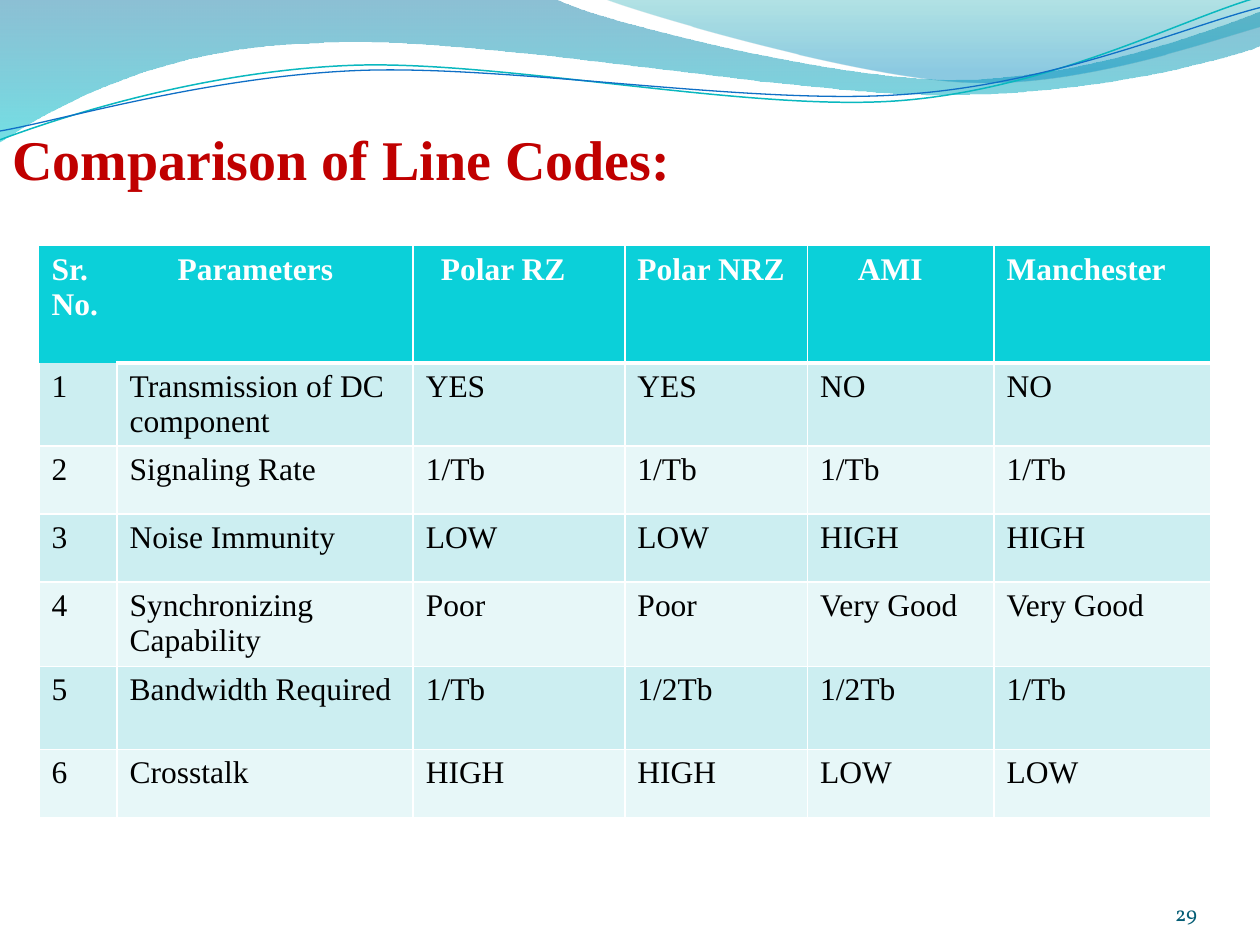
import math

import pptx
import pptx.dml.color
import pptx.enum.text
import pptx.oxml
import pptx.oxml.ns
import pptx.util
from pptx.util import Inches

# Content
TITLE = "Comparison of Line Codes:"
PAGE_NUMBER = "29"
ROWS = [
    ("Sr. No.", "Parameters", "Polar RZ", "Polar NRZ", "AMI", "Manchester"),
    ("1", "Transmission of DC component", "YES", "YES", "NO", "NO"),
    ("2", "Signaling Rate", "1/Tb", "1/Tb", "1/Tb", "1/Tb"),
    ("3", "Noise Immunity", "LOW", "LOW", "HIGH", "HIGH"),
    ("4", "Synchronizing Capability", "Poor", "Poor", "Very Good", "Very Good"),
    ("5", "Bandwidth Required", "1/Tb", "1/2Tb", "1/2Tb", "1/Tb"),
    ("6", "Crosstalk", "HIGH", "HIGH", "LOW", "LOW"),
]
COLUMN_WIDTHS = [0.62, 2.35, 1.68, 1.45, 1.48, 1.72]
ROW_HEIGHTS = [0.93, 0.66, 0.54, 0.54, 0.67, 0.66, 0.54]
HEADER_INDENTS = [0, 0.38, 0.12, 0, 0.3, 0]
# Borders around the first header cell stay unpainted
OPEN_BORDERS = {(0, 0): "LRTB", (0, 1): "L", (1, 0): "T"}
COLORS = {
    "title": "C00000", "number": "045D75", "header": "0BD0D9",
    "odd": "CCEEF1", "even": "E7F7F8", "white": "FFFFFF", "black": "000000",
}
SERIF = "Times New Roman"

# Wave outlines: two values are a line's end, six values are a Bézier curve
BANDS = [
    {"box": (-0.01, -0.01, 10.02, 1.14),
     "outline": [(0, 0), (4.4, -0.01), (4.76, 0.17, 6.64, 0.63, 7.58, 0.63),
                 (8.53, 0.63, 9.58, 0.26, 10, 0.09), (10.01, 0.36),
                 (9.83, 0.44, 8.7, 0.76, 7.46, 0.75),
                 (6.22, 0.75, 3.82, 0.28, 2.57, 0.34),
                 (1.29, 0.36, 0.46, 0.83, -0.01, 1.13), (0, 0)],
     "stops": [(0, "0074A1", 45), (1, "00C6CF", 55)]},
    {"box": (4.79, -0.01, 5.21, 0.7),
     "outline": [(4.79, -0.01), (5.09, 0.11, 6.82, 0.62, 7.69, 0.65),
                 (8.56, 0.69, 9.61, 0.32, 10, 0.21), (10, 0), (4.79, -0.01)],
     "stops": [(0, "00A1A9", 30), (0.8, "008BBF", 45)]},
]
STRAND_ROTATION = -2.7
STRANDS = [
    {"box": (-0.02, 0.22, 10.02, 0.71),
     "outline": [(0, 1.11), (0.48, 0.93, 1.58, 0.57, 2.77, 0.52),
                 (3.95, 0.47, 5.93, 0.89, 7.13, 0.8),
                 (8.33, 0.71, 9.38, 0.15, 9.98, -0.02)],
     "color": "0AB8BF", "width": 0.85},
    {"box": (-0.02, 0.3, 10.03, 0.58),
     "outline": [(0, 1.04), (0.47, 0.96, 1.64, 0.61, 2.83, 0.56),
                 (4.03, 0.51, 5.97, 0.84, 7.17, 0.75),
                 (8.36, 0.67, 9.41, 0.21, 10, 0.06)],
     "color": "0F6FC6", "width": 0.75},
]


def rgb(value):
    return pptx.dml.color.RGBColor.from_string(value)


def add_wave(slide, box, outline, close, rotation=0):
    """Draw a freeform in its box and bend its segments into Bézier curves."""
    left, top, width, height = box
    angle = math.radians(-rotation)

    def local(x, y):
        x, y = x - left - width / 2, y - top - height / 2
        return (Inches(width / 2 + x * math.cos(angle) - y * math.sin(angle)),
                Inches(height / 2 + x * math.sin(angle) + y * math.cos(angle)))

    builder = slide.shapes.build_freeform(*local(*outline[0]), scale=1.0)
    ends = outline[1:-1] if close else outline[1:]
    builder.add_line_segments([local(*segment[-2:]) for segment in ends], close=close)
    shape = builder.convert_to_shape()
    frame = dict(zip(("left", "top", "width", "height"), map(Inches, box)))
    for name, value in {**frame, "rotation": rotation}.items():
        setattr(shape, name, value)
    shape.shadow.inherit = False

    track = shape._element.find(".//" + pptx.oxml.ns.qn("a:path"))
    for child in list(track):
        track.remove(child)
    track.set("w", str(Inches(width)))
    track.set("h", str(Inches(height)))
    for index, segment in enumerate(outline):
        tag = "moveTo" if index == 0 else "lnTo" if len(segment) == 2 else "cubicBezTo"
        pairs = [local(*segment[i:i + 2]) for i in range(0, len(segment), 2)]
        points = "".join(f'<a:pt x="{x}" y="{y}"/>' for x, y in pairs)
        track.append(pptx.oxml.parse_xml(
            f'<a:{tag} {pptx.oxml.ns.nsdecls("a")}>{points}</a:{tag}>'))
    if close:
        track.append(pptx.oxml.parse_xml(f'<a:close {pptx.oxml.ns.nsdecls("a")}/>'))
    return shape


def write(frame, text, color, **font):
    paragraph = frame.paragraphs[0]
    run = paragraph.add_run()
    run.text = text
    run.font.color.rgb = rgb(color)
    for name, value in font.items():
        setattr(run.font, name, value)
    return paragraph


def add_text(slide, box, text, color, frame_format, **font):
    shape = slide.shapes.add_textbox(*map(Inches, box))
    for name, value in frame_format.items():
        setattr(shape.text_frame, name, value)
    return write(shape.text_frame, text, color, **font)


def add_border(cell, side, color, width):
    paint = f'<a:solidFill><a:srgbClr val="{color}"/></a:solidFill>' if color else "<a:noFill/>"
    cell._tc.get_or_add_tcPr().append(pptx.oxml.parse_xml(
        f'<a:ln{side} {pptx.oxml.ns.nsdecls("a")} w="{pptx.util.Pt(width)}">'
        f'{paint}</a:ln{side}>'))


presentation = pptx.Presentation()
presentation.slide_width, presentation.slide_height = Inches(10), Inches(7.5)
slide = presentation.slides.add_slide(presentation.slide_layouts[6])

# Wave bands with see-through gradients
for band in BANDS:
    shape = add_wave(slide, band["box"], band["outline"], True)
    shape.line.fill.background()
    shape.fill.gradient()
    shape.fill.gradient_angle = 270
    for stop, (position, color, opacity) in zip(shape.fill.gradient_stops, band["stops"]):
        stop.position = position
        stop.color.rgb = rgb(color)
        stop._gs[0].append(pptx.oxml.parse_xml(
            f'<a:alpha {pptx.oxml.ns.nsdecls("a")} val="{opacity * 1000}"/>'))

# Wave strands
for strand in STRANDS:
    shape = add_wave(slide, strand["box"], strand["outline"], False, STRAND_ROTATION)
    shape.fill.background()
    shape.line.color.rgb = rgb(strand["color"])
    shape.line.width = pptx.util.Pt(strand["width"])

# Comparison table
table = slide.shapes.add_table(
    len(ROWS), len(COLUMN_WIDTHS), Inches(0.31), Inches(1.95),
    Inches(sum(COLUMN_WIDTHS)), Inches(sum(ROW_HEIGHTS))).table
for column, width in zip(table.columns, COLUMN_WIDTHS):
    column.width = Inches(width)
for row, height in zip(table.rows, ROW_HEIGHTS):
    row.height = Inches(height)
for row_index, texts in enumerate(ROWS):
    header = row_index == 0
    fill = "header" if header else "odd" if row_index % 2 else "even"
    for column_index, text in enumerate(texts):
        cell = table.cell(row_index, column_index)
        open_sides = OPEN_BORDERS.get((row_index, column_index), "")
        for side in "LRTB":
            color = None if side in open_sides else COLORS["white"]
            add_border(cell, side, color, 3 if header and side == "B" else 1)
        cell.fill.solid()
        cell.fill.fore_color.rgb = rgb(COLORS[fill])
        if header:
            cell.margin_left = Inches(0.1 + HEADER_INDENTS[column_index])
        write(cell.text_frame, text, COLORS["white" if header else "black"],
              name=SERIF, size=pptx.util.Pt(18), bold=header)

# Title and page number
add_text(slide, (0, 0.94, 10, 0.64), TITLE, COLORS["title"],
         {"word_wrap": True, "auto_size": pptx.enum.text.MSO_AUTO_SIZE.SHAPE_TO_FIT_TEXT},
         name=SERIF, size=pptx.util.Pt(32), bold=True)
number_format = {"word_wrap": True, "vertical_anchor": pptx.enum.text.MSO_ANCHOR.BOTTOM}
number_format.update({f"margin_{side}": 0 for side in ("left", "top", "right", "bottom")})
number = add_text(slide, (8.67, 6.95, 0.83, 0.4), PAGE_NUMBER, COLORS["number"],
                  number_format, name="Vollkorn", size=pptx.util.Pt(12))
number.alignment = pptx.enum.text.PP_ALIGN.RIGHT

presentation.save("out.pptx")
